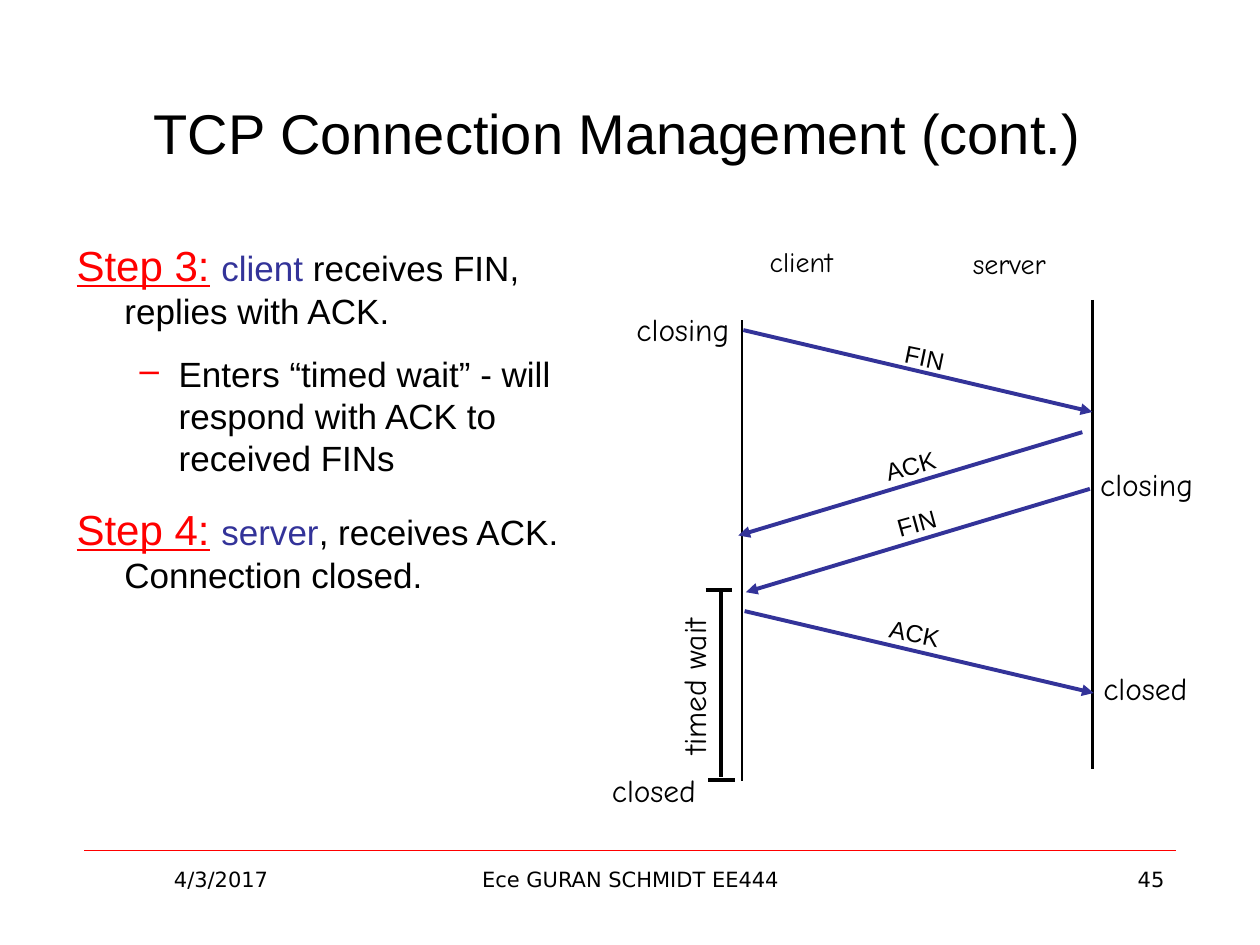
from lxml import etree
from pptx import Presentation
from pptx.dml.color import RGBColor
from pptx.enum.shapes import MSO_CONNECTOR
from pptx.enum.text import MSO_ANCHOR, PP_ALIGN
from pptx.oxml.ns import qn
from pptx.util import Inches, Pt

BLACK = RGBColor(0x00, 0x00, 0x00)
RED = RGBColor(0xFF, 0x00, 0x00)
BLUE = RGBColor(0x33, 0x33, 0x99)
STRAIGHT = MSO_CONNECTOR.STRAIGHT
MIDDLE, TOP = MSO_ANCHOR.MIDDLE, MSO_ANCHOR.TOP
LEFT, CENTER, RIGHT = PP_ALIGN.LEFT, PP_ALIGN.CENTER, PP_ALIGN.RIGHT
SANS, HAND, FOOTER_FONT = "Arial", "Comic Neue", "DejaVu Sans"


def add_line(page, start, end, color, width, arrow=False):
    """Draw a straight line between two points, with an optional arrowhead at its end."""
    line = page.shapes.add_connector(
        STRAIGHT, *(Inches(value) for value in (*start, *end)))
    line.line.color.rgb = color
    line.line.width = Pt(width)
    if arrow:
        etree.SubElement(line.line._get_or_add_ln(), qn("a:tailEnd"), type="triangle")
    etree.SubElement(line._element.spPr, qn("a:effectLst"))


def add_frame(page, left, top, width, height, anchor=TOP, wrap=True, rotation=0):
    """Add an empty text box and return its text frame."""
    box = page.shapes.add_textbox(*(Inches(value) for value in (left, top, width, height)))
    box.rotation = rotation
    frame = box.text_frame
    frame.word_wrap = wrap
    frame.vertical_anchor = anchor
    return frame


def add_label(page, place, text, size, font, align=CENTER, **options):
    """Add a text box holding one line of black text."""
    para = add_frame(page, *place, **options).paragraphs[0]
    para.text = text
    para.alignment = align
    para.font.size = Pt(size)
    para.font.name = font
    para.font.color.rgb = BLACK


def set_indent(para, margin, hanging, bullet=None):
    """Set a hanging indent and either a red bullet or none."""
    props = para._p.get_or_add_pPr()
    props.set("marL", str(Inches(margin)))
    props.set("indent", str(-Inches(hanging)))
    if bullet:
        color = etree.SubElement(props, qn("a:buClr"))
        etree.SubElement(color, qn("a:srgbClr"), val=str(RED))
        etree.SubElement(props, qn("a:buChar"), char=bullet)
    else:
        etree.SubElement(props, qn("a:buNone"))


def add_steps(page, left, top, width, height):
    """Write the closing steps and the point below the first of them."""
    frame = add_frame(page, left, top, width, height)
    paragraphs = [
        (0, [("Step 3:", 24, RED), (" ", 24, BLACK), ("client", 20, BLUE),
             (" receives FIN, replies with ACK.", 20, BLACK)]),
        (12, [("Enters “timed wait” - will respond with ACK to received FINs", 20, BLACK)]),
        (14, [("Step 4:", 24, RED), (" ", 24, BLACK), ("server", 20, BLUE),
              (", receives ACK. Connection closed.", 20, BLACK)]),
    ]
    for index, (space, spans) in enumerate(paragraphs):
        para = frame.paragraphs[0] if index == 0 else frame.add_paragraph()
        para.alignment = LEFT
        para.space_before = Pt(space)
        if len(spans) == 1:
            set_indent(para, 0.81, 0.31, "–")
        else:
            set_indent(para, 0.38, 0.38)
        para.font.name = SANS
        for text, size, color in spans:
            span = para.add_run()
            span.text = text
            span.font.size = Pt(size)
            span.font.color.rgb = color
            span.font.underline = color == RED


def add_sequence(page, left, top):
    """Draw the client and server timelines with the messages between them."""
    client, server = left + 1.17, left + 3.95
    down, up = 11.8, 344.6
    add_line(page, (client, top + 0.65), (client, top + 4.31), BLACK, 1.5)
    add_line(page, (server, top + 0.49), (server, top + 4.21), BLACK, 1.5)

    messages = [(1.18, 0.73, 2.77, 0.65), (3.87, 1.54, -2.73, 0.82),
                (3.93, 1.99, -2.73, 0.82), (1.19, 2.96, 2.77, 0.65)]
    for x, y, run, drop in messages:
        start = (left + x, top + y)
        add_line(page, start, (start[0] + run, start[1] + drop), BLUE, 2.25, arrow=True)

    bar = left + 1.0
    add_line(page, (bar, top + 2.81), (bar, top + 4.28), BLACK, 2.25)
    for x, y in ((0.88, 2.79), (0.90, 4.30)):
        add_line(page, (left + x, top + y), (left + x + 0.21, top + y), BLACK, 2.25)

    labels = [
        ("client", 1.25, 0.00, 0.78, 0.37, 16, HAND, 0),
        ("server", 2.85, 0.02, 0.88, 0.37, 16, HAND, 0),
        ("FIN", 2.22, 0.78, 0.80, 0.33, 14, SANS, down),
        ("ACK", 1.01, 1.64, 2.99, 0.33, 14, SANS, up),
        ("FIN", 1.06, 2.09, 2.99, 0.33, 14, SANS, up),
        ("ACK", 2.14, 2.97, 0.80, 0.33, 14, SANS, down),
        ("closing", 0.21, 0.52, 0.98, 0.40, 18, HAND, 0),
        ("closing", 3.89, 1.75, 0.98, 0.40, 18, HAND, 0),
        ("closed", 0.00, 4.18, 0.94, 0.40, 18, HAND, 0),
        ("closed", 3.90, 3.37, 0.94, 0.40, 18, HAND, 0),
        ("timed wait", 0.07, 3.36, 1.43, 0.40, 18, HAND, 270),
    ]
    for text, x, y, width, height, size, font, rotation in labels:
        add_label(page, (left + x, top + y, width, height), text, size, font,
                  wrap=False, rotation=rotation)


def add_footer(page, left, top, width):
    """Draw the footer rule with the date, author and page number below it."""
    add_line(page, (left, top), (left + width, top), RED, 0.25)
    parts = [("4/3/2017", 0, 2.17, CENTER),
             ("Ece GURAN SCHMIDT EE444", 2.75, 3.17, CENTER),
             ("45", 6.5, 2.17, RIGHT)]
    for text, x, part_width, align in parts:
        add_label(page, (left + x, top + 0.08, part_width, 0.52), text, 12,
                  FOOTER_FONT, align)


def main():
    """Build the deck and save it."""
    deck = Presentation()
    deck.slide_width, deck.slide_height = Inches(10), Inches(7.5)
    page = deck.slides.add_slide(deck.slide_layouts[6])
    add_footer(page, 0.67, 6.75, 8.66)
    add_label(page, (0.65, 0.56, 8.5, 0.98), "TCP Connection Management (cont.)",
              32, SANS, anchor=MIDDLE)
    add_steps(page, 0.51, 1.85, 4.36, 3.68)
    add_sequence(page, 4.72, 1.89)
    deck.save("out.pptx")


if __name__ == "__main__":
    main()
